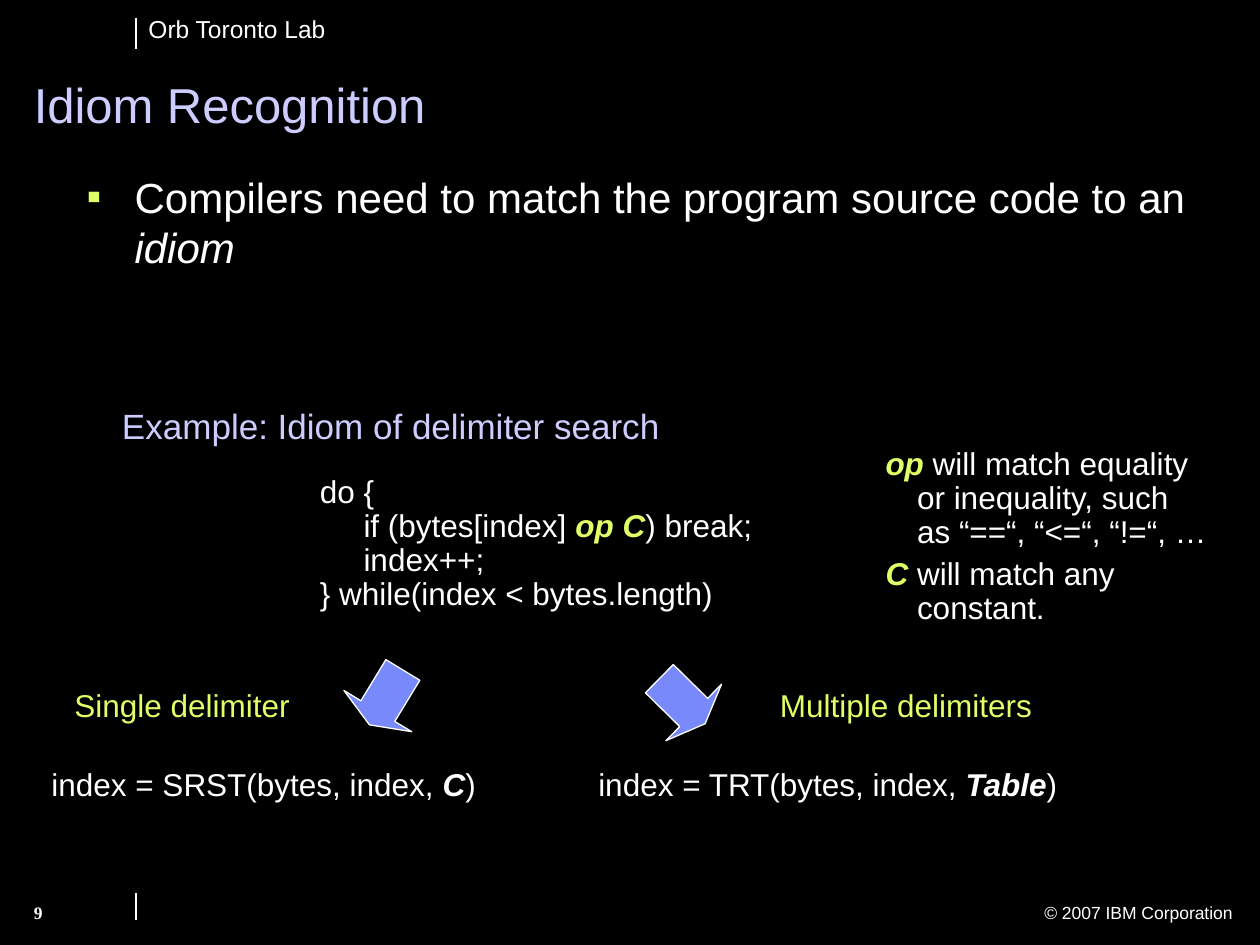
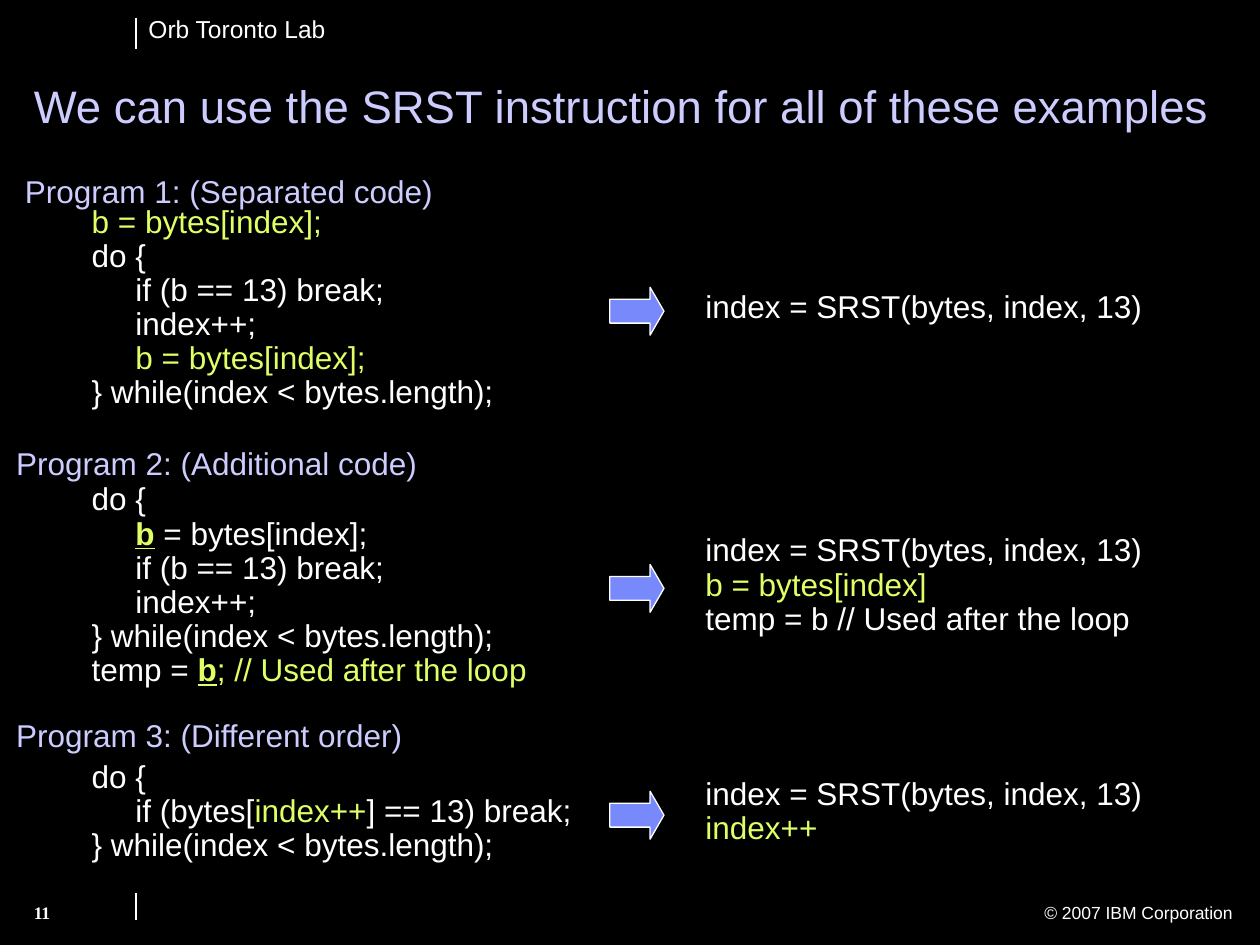
from lxml import etree
from pptx import Presentation
from pptx.dml.color import RGBColor
from pptx.enum.shapes import MSO_CONNECTOR, MSO_SHAPE
from pptx.enum.text import MSO_ANCHOR, PP_ALIGN
from pptx.oxml.ns import qn
from pptx.util import Inches, Pt

BLACK = RGBColor(0x00, 0x00, 0x00)
WHITE = RGBColor(0xFF, 0xFF, 0xFF)
LAVENDER = RGBColor(0xCC, 0xCC, 0xFF)
LIME = RGBColor(0xDF, 0xFF, 0x66)
BLUE = RGBColor(0x78, 0x89, 0xFB)

CODE_SIZE = 18
LINE_HEIGHT = 0.27
HANG = 0.25


def lime(text, flags=""):
    return text, LIME, flags


def bold_italic(text):
    return text, WHITE, "bi"


def block_height(lines):
    return 0.1 + LINE_HEIGHT * len(lines)


def add_text(page, left, top, width, height, paragraphs, size=CODE_SIZE,
             color=WHITE, font="Arial", spacing=0.9, hang=HANG,
             align=PP_ALIGN.LEFT, anchor=MSO_ANCHOR.TOP, gap=0):
    """Each paragraph is a list of plain strings or (text, colour, flags)."""
    box = page.shapes.add_textbox(Inches(left), Inches(top),
                                  Inches(width), Inches(height))
    frame = box.text_frame
    frame.word_wrap = True
    frame.vertical_anchor = anchor
    for index, parts in enumerate(paragraphs):
        para = frame.add_paragraph() if index else frame.paragraphs[0]
        para.alignment = align
        para.line_spacing = spacing
        if index:
            para.space_before = Pt(gap)
        if hang:
            props = para._p.get_or_add_pPr()
            props.set("marL", str(Inches(hang)))
            props.set("indent", str(-Inches(hang)))
        for part in parts:
            text, tint, flags = (part, color, "") if isinstance(part, str) else part
            span = para.add_run()
            span.text = text
            span.font.name = font
            span.font.size = Pt(size)
            span.font.color.rgb = tint
            span.font.bold = "b" in flags
            span.font.italic = "i" in flags
            span.font.underline = "u" in flags
    return box


def add_square_bullet(para):
    props = para._p.get_or_add_pPr()
    tint = etree.SubElement(props, qn("a:buClr"))
    etree.SubElement(tint, qn("a:srgbClr")).set("val", str(LIME))
    etree.SubElement(props, qn("a:buFont")).set("typeface", "Arial")
    etree.SubElement(props, qn("a:buChar")).set("char", "▪")


def add_arrow(page, preset, left, top, width, height, head, rotation=0):
    arrow = page.shapes.add_shape(preset, Inches(left), Inches(top),
                                  Inches(width), Inches(height))
    arrow.shadow.inherit = False
    arrow.adjustments[0] = 0.5
    arrow.adjustments[1] = head
    arrow.rotation = rotation
    arrow.fill.solid()
    arrow.fill.fore_color.rgb = BLUE
    arrow.line.color.rgb = WHITE
    arrow.line.width = Pt(0.75)


def add_divider(page, left, top, bottom):
    line = page.shapes.add_connector(MSO_CONNECTOR.STRAIGHT, Inches(left),
                                     Inches(top), Inches(left), Inches(bottom))
    line.line.color.rgb = WHITE
    line.line.width = Pt(1)
    etree.SubElement(line._element.spPr, qn("a:effectLst"))


def add_page(deck, title, number, title_size, title_width):
    """Add a black page with header, title, footer and page number."""
    page = deck.slides.add_slide(deck.slide_layouts[6])
    page.background.fill.solid()
    page.background.fill.fore_color.rgb = BLACK
    add_text(page, 1.08, 0.06, 1.65, 0.33, [["Orb Toronto Lab"]],
             size=14, spacing=1, hang=0)
    add_text(page, 6.26, 7.11, 3.62, 0.27, [["© 2007 IBM Corporation"]],
             size=10, spacing=1, hang=0, align=PP_ALIGN.RIGHT)
    add_divider(page, 1.08, 0.14, 0.39)
    add_divider(page, 1.08, 7.09, 7.3)
    add_text(page, 0.17, 0.56, title_width, 0.55, [[title]], size=title_size,
             color=LAVENDER, hang=0, anchor=MSO_ANCHOR.BOTTOM)
    add_text(page, 0.17, 7.11, 1.1, 0.35, [[(str(number), WHITE, "b")]],
             size=10, font="Times New Roman", spacing=1, hang=0)
    return page


def add_idiom_example(page, left, top):
    add_text(page, left, top, 4.8, 0.4, [["Example: Idiom of delimiter search"]],
             size=20, color=LAVENDER)
    code = [
        ["do {"],
        ["     if (bytes[index] ", lime("op C", "bi"), ") break;"],
        ["     index++;"],
        ["} while(index < bytes.length)"],
    ]
    add_text(page, left + 1.57, top + 0.53, 3.66, block_height(code), code)
    meanings = [
        [lime("op", "bi"),
         " will match equality or inequality, such as “==“, “<=“, “!=“, …"],
        [lime("C", "bi"), " will match any constant."],
    ]
    add_text(page, left + 6.06, top + 0.31, 2.76, 1.52, meanings, gap=4.5)


def add_outcomes(page, top):
    """Place the two arrows, their labels and the resulting instructions."""
    outcomes = [
        ("Single delimiter", 0.24, 2.41, 2.75, 0, 31.3,
         0.31, ["index = SRST(bytes, index, ", bold_italic("C"), ")"]),
        ("Multiple delimiters", 5.84, 2.7, 5.1, 0.03, 314.6,
         4.65, ["index = TRT(bytes, index, ", bold_italic("Table"), ")"]),
    ]
    for (label, label_left, label_width, arrow_left, drop, rotation,
         code_left, code) in outcomes:
        add_arrow(page, MSO_SHAPE.DOWN_ARROW, arrow_left, top + drop,
                  0.63, 0.51, 0.25, rotation)
        add_text(page, label_left, top + 0.15, label_width, 0.37, [[label]],
                 color=LIME, align=PP_ALIGN.CENTER)
        add_text(page, code_left, top + 0.78, 4.2, 0.37, [code])


def build_idiom_page(deck):
    page = add_page(deck, "Idiom Recognition", 9, 28, 9.6)
    body = add_text(
        page, 0.59, 1.31, 9.06, 1.5,
        [["Compilers need to match the program source code to an ",
          bold_italic("idiom")[:2] + ("i",)]],
        size=24, spacing=1, hang=0.38)
    add_square_bullet(body.text_frame.paragraphs[0])
    add_idiom_example(page, 0.87, 3.2)
    add_outcomes(page, 5.28)


def add_program(page, heading, left, top, middle, code, result):
    """Place a heading, then code, arrow and result centred on one height."""
    arrow_height = 0.38
    code_height, result_height = block_height(code), block_height(result)
    add_text(page, 5.5, middle - result_height / 2, 4.16, result_height, result)
    add_arrow(page, MSO_SHAPE.RIGHT_ARROW, 4.84,
              middle + 0.02 - arrow_height / 2, 0.43, arrow_height, 0.29)
    add_text(page, 0.63, middle - code_height / 2, 4.1, code_height, code)
    add_text(page, left, top, 3.94, 0.37, [[heading]], color=LAVENDER)


def build_examples_page(deck):
    page = add_page(
        deck, "We can use the SRST instruction for all of these examples",
        11, 26, 9.83)
    search = ["index = SRST(bytes, index, 13)"]
    load = lime("b = bytes[index];")
    test = ["     if (b == 13) break;"]
    step = ["     index++;"]
    start = ["do {"]
    end = ["} while(index < bytes.length);"]
    marked_b = lime("b", "bu")
    programs = [
        ("Program 1: (Separated code)", 0.1, 2.45,
         [[load], start, test, step, ["     ", load], end],
         [search]),
        ("Program 2: (Additional code)", 0.03, 4.65,
         [start, ["     ", marked_b, " = bytes[index];"], test, step, end,
          ["temp = ", marked_b, lime("; // Used after the loop")]],
         [search, [lime("b = bytes[index]")],
          ["temp = b // Used after the loop"]]),
        ("Program 3: (Different order)", 0.03, 6.45,
         [start, ["     if (bytes[", lime("index++"), "] == 13) break;"], end],
         [search, [lime("index++")]]),
    ]
    for index, (heading, left, middle, code, result) in enumerate(programs):
        add_program(page, heading, left, 1.35 + 2.16 * index, middle, code, result)


def main():
    deck = Presentation()
    deck.slide_width = Inches(10)
    deck.slide_height = Inches(7.5)
    build_idiom_page(deck)
    build_examples_page(deck)
    deck.save("out.pptx")


if __name__ == "__main__":
    main()
